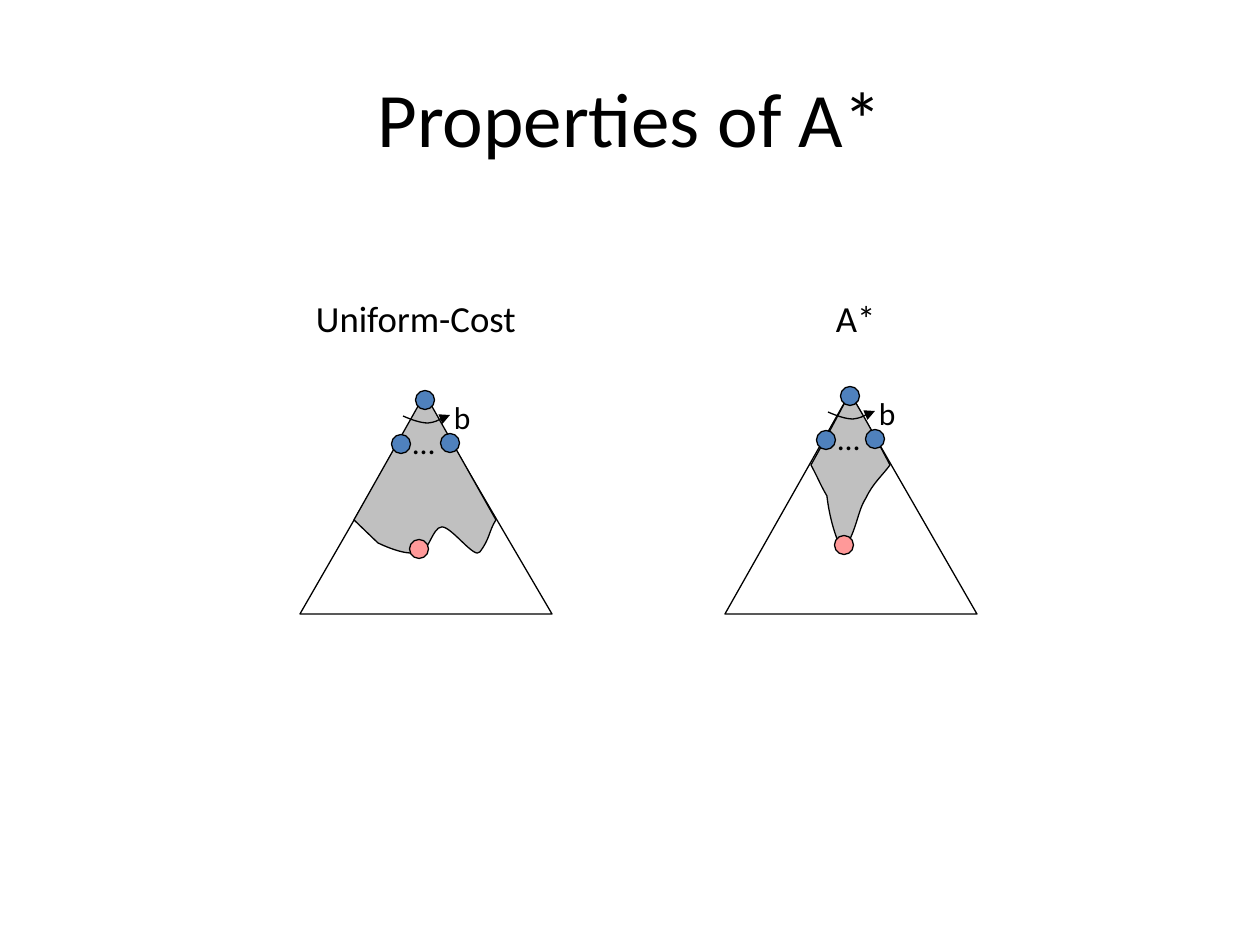
import pptx
import pptx.dml.color
import pptx.enum.shapes
import pptx.enum.text
import pptx.oxml
import pptx.util

PX = 914400 // 126
FONT = "Calibri"
BLACK, BLUE, PINK, GREY = "000000", "4F81BD", "FF9999", "C0C0C0"
NODE_SIZE = 19

TITLE = "Properties of A*"
BASE_Y = 614

# Outlines are relative to the root node: a pair is a line end,
# six numbers are the two control points and the end of a curve.
TREES = [
    {
        "heading": "Uniform-Cost", "heading_box": (307, 291, 237, 54),
        "root": (425, 400),
        "explored": [
            (0, -6), (-71, 120), (-47, 143),
            (-47, 143, -19, 157, -8, 152), (3, 157, 7, 127, 17, 127),
            (27, 127, 50, 160, 55, 152), (65, 139, 64, 131, 71, 120),
        ],
    },
    {
        "heading": "A*", "heading_box": (827, 291, 63, 54),
        "root": (850, 396),
        "explored": [
            (0, -3), (-13, 21, -15, 26, -39, 69), (-31, 84, -30, 88, -23, 100),
            (-23, 100, -20, 132, -7, 156), (8, 132, 7, 116, 16, 102),
            (23, 87, 33, 79, 40, 69), (17, 25, 11, 16, 0, -3),
        ],
    },
]
BRANCH_ARC = [(-22, 16), (-13, 20, -4, 23, 3, 23), (11, 22, 17, 18, 25, 15)]
CHILDREN = [(-24, 44), (25, 43)]
GOAL = (-6, 149)
LABELS = [("…", (-21, 18, 29, 48)), ("b", (20, -7, 30, 48))]


def color(value):
    return pptx.dml.color.RGBColor.from_string(value)


def emu(values):
    return [value * PX for value in values]


def format_shape(shape, fill):
    shape.shadow.inherit = False
    if fill:
        shape.fill.solid()
        shape.fill.fore_color.rgb = color(fill)
    else:
        shape.fill.background()
    shape.line.color.rgb = color(BLACK)
    shape.line.width = pptx.util.Pt(0.75)


def format_font(paragraph, size):
    values = {"name": FONT, "size": pptx.util.Pt(size)}
    for name, value in values.items():
        setattr(paragraph.font, name, value)
    paragraph.font.color.rgb = color(BLACK)


def add_outline(slide, root, segments, fill=None, close=True):
    """Draw line and curve segments placed relative to the root."""
    points = [
        (root[0] + segment[i], root[1] + segment[i + 1])
        for segment in segments for i in range(0, len(segment), 2)
    ]
    builder = slide.shapes.build_freeform(*points[0], scale=PX)
    builder.add_line_segments(points[1:], close=close)
    shape = builder.convert_to_shape()

    # Each run of three straight steps that belongs to a curve becomes one.
    namespace = pptx.oxml.ns.qn
    lines = iter(list(shape.element.iter(namespace("a:lnTo"))))
    for segment in segments[1:]:
        steps = [next(lines) for _ in range(len(segment) // 2)]
        if len(steps) == 3:
            curve = steps[0].makeelement(namespace("a:cubicBezTo"), {})
            steps[0].addprevious(curve)
            for step in steps:
                curve.append(step[0])
                step.getparent().remove(step)
    format_shape(shape, fill)
    return shape


def add_node(slide, root, offset, fill):
    left, top = (start + step - NODE_SIZE / 2 for start, step in zip(root, offset))
    box = [round(value) for value in emu((left, top, NODE_SIZE, NODE_SIZE))]
    node = slide.shapes.add_shape(pptx.enum.shapes.MSO_SHAPE.OVAL, *box)
    format_shape(node, fill)


def add_label(slide, text, box, size):
    frame = slide.shapes.add_textbox(*emu(box)).text_frame
    values = {
        "word_wrap": True,
        "margin_left": 9 * PX, "margin_right": 9 * PX,
        "margin_top": 5 * PX, "margin_bottom": 5 * PX,
    }
    for name, value in values.items():
        setattr(frame, name, value)
    paragraph = frame.paragraphs[0]
    paragraph.text = text
    format_font(paragraph, size)


def add_tree(slide, tree):
    root = x, y = tree["root"]
    base = BASE_Y - y
    add_outline(slide, root, [(-125, base), (127, base), (0, -3)])
    add_outline(slide, root, tree["explored"], GREY)
    for child in CHILDREN:
        add_node(slide, root, child, BLUE)

    arc = add_outline(slide, root, BRANCH_ARC, close=False)
    arrowhead = pptx.oxml.parse_xml(
        f'<a:tailEnd {pptx.oxml.ns.nsdecls("a")} type="triangle"/>')
    arc.line._get_or_add_ln().append(arrowhead)

    for text, (left, top, width, height) in LABELS:
        add_label(slide, text, (x + left, y + top, width, height), 18)
    add_node(slide, root, GOAL, PINK)
    add_node(slide, root, (0, 0), BLUE)
    add_label(slide, tree["heading"], tree["heading_box"], 21)


def add_title(slide):
    title = slide.shapes.title
    title.left, title.top, title.width, title.height = emu((63, 38, 1134, 157))
    title.text_frame.vertical_anchor = pptx.enum.text.MSO_ANCHOR.MIDDLE
    paragraph = title.text_frame.paragraphs[0]
    paragraph.text = TITLE
    paragraph.alignment = pptx.enum.text.PP_ALIGN.CENTER
    format_font(paragraph, 44)


def main():
    presentation = pptx.Presentation()
    presentation.slide_width = pptx.util.Inches(10)
    presentation.slide_height = pptx.util.Inches(7.5)
    slide = presentation.slides.add_slide(presentation.slide_layouts[5])
    add_title(slide)
    for tree in TREES:
        add_tree(slide, tree)
    presentation.save("out.pptx")


if __name__ == "__main__":
    main()
